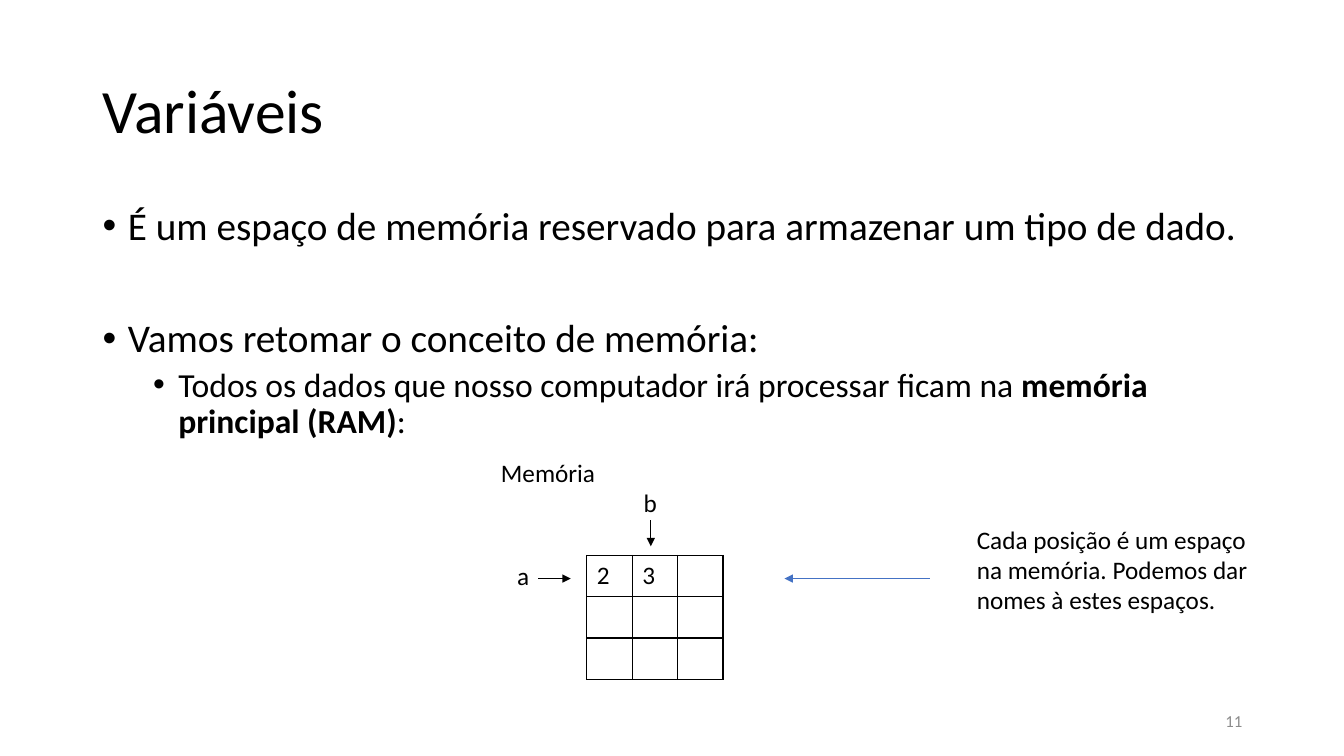
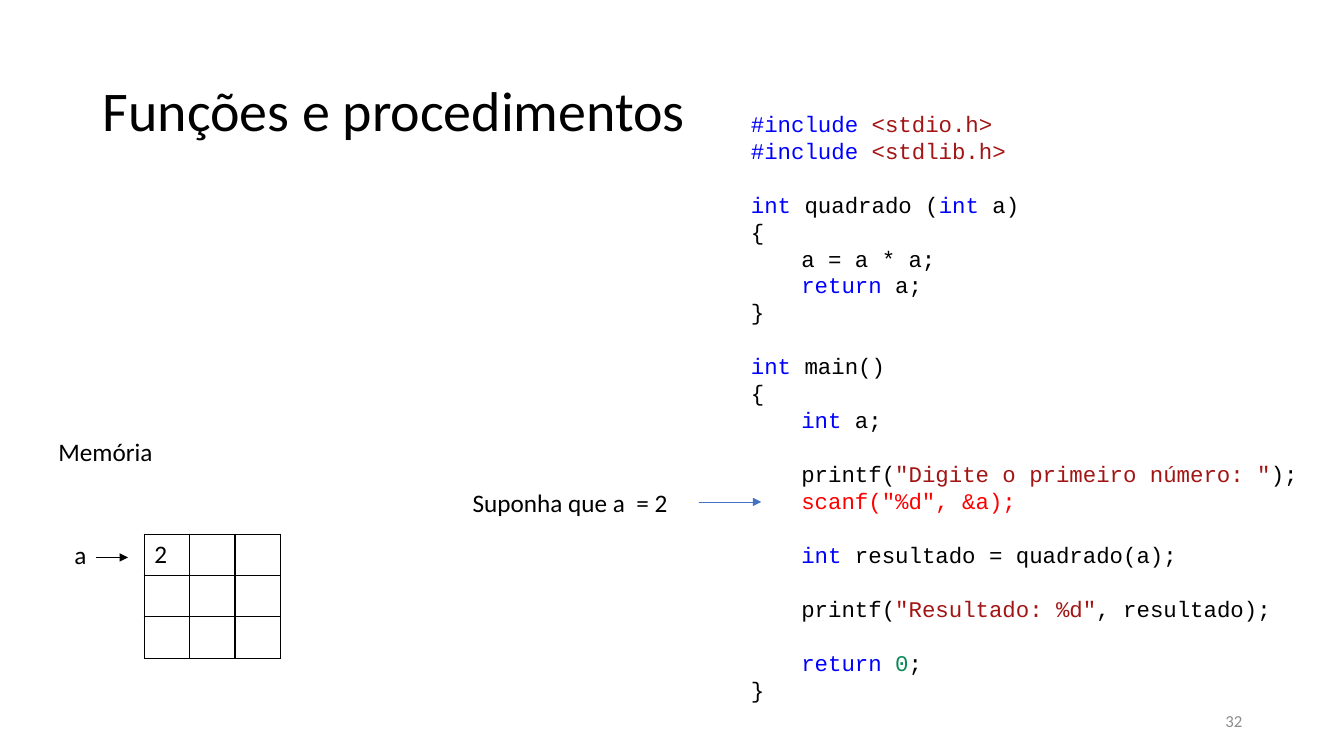
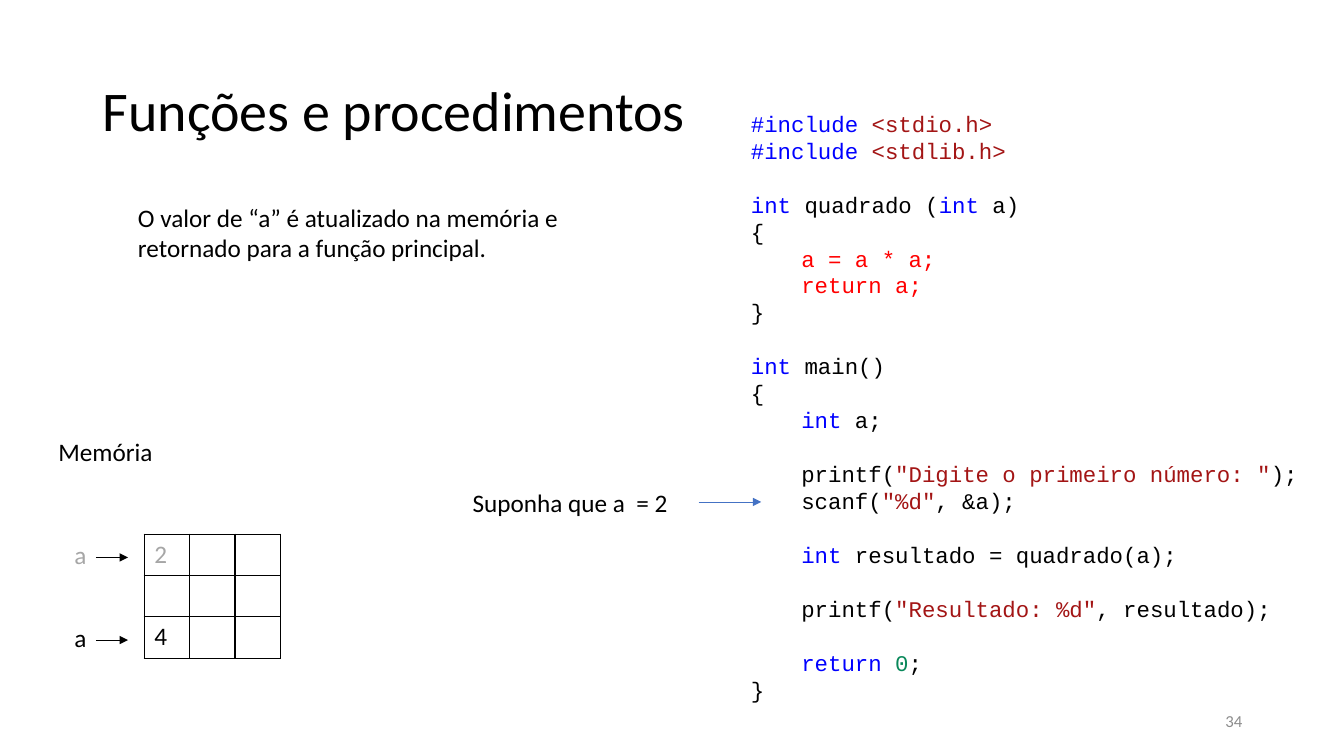
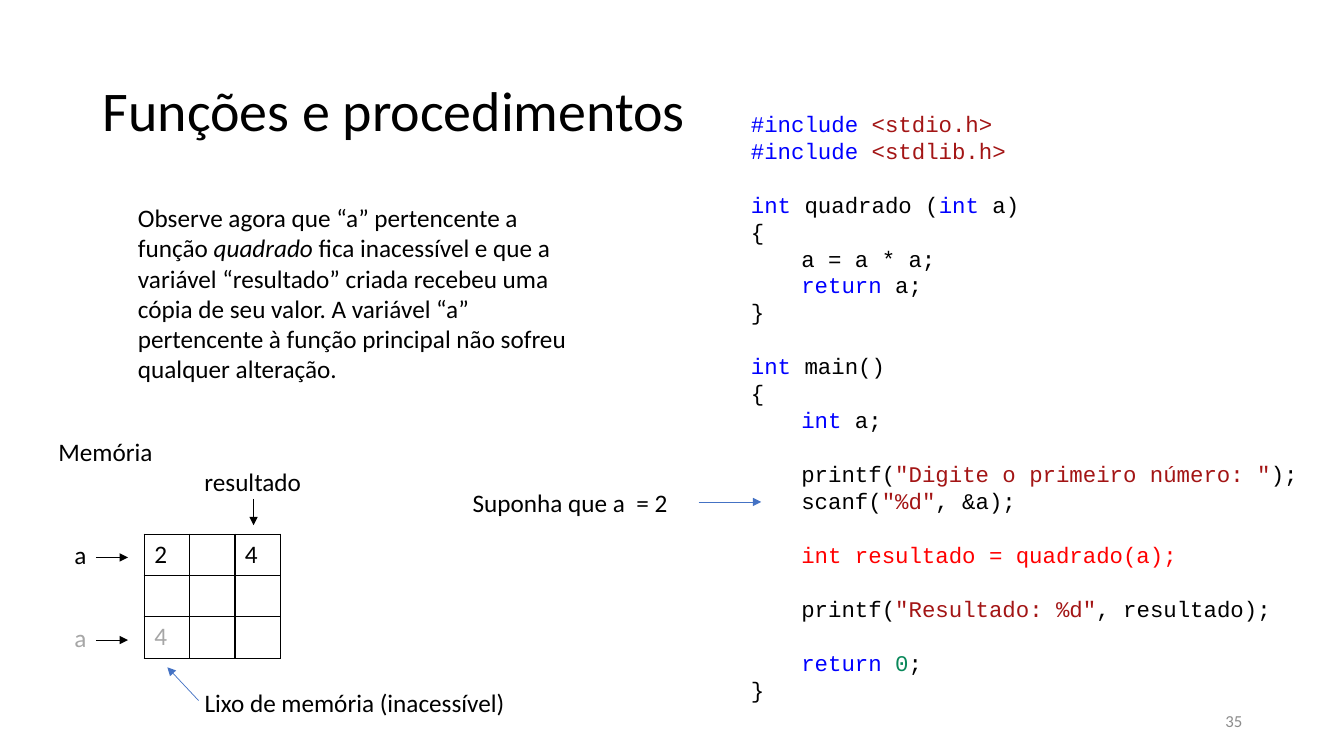
from lxml.etree import SubElement
from pptx import Presentation
from pptx.dml.color import RGBColor
from pptx.enum.shapes import MSO_CONNECTOR
from pptx.enum.text import MSO_ANCHOR, MSO_AUTO_SIZE, PP_ALIGN
from pptx.oxml.ns import qn
from pptx.util import Inches, Pt

COLOURS = {
    "text": "000000",
    "dim": "A6A6A6",
    "footer": "8C8C8C",
    "pointer": "4472C4",
    "keyword": "0000FF",
    "string": "A31515",
    "number": "09885A",
    "highlight": "FF0000",
}

# Each line: indent level, blank line above, coloured pieces.
CODE = [
    (0, False, [("#include ", "keyword"), ("<stdio.h>", "string")]),
    (0, False, [("#include ", "keyword"), ("<stdlib.h>", "string")]),
    (0, True, [("int", "keyword"), (" quadrado (", "text"), ("int", "keyword"), (" a)", "text")]),
    (0, False, [("{", "text")]),
    (1, False, [("a = a * a;", "text")]),
    (1, False, [("return", "keyword"), (" a;", "text")]),
    (0, False, [("}", "text")]),
    (0, True, [("int ", "keyword"), ("main()", "text")]),
    (0, False, [("{", "text")]),
    (1, False, [("int", "keyword"), (" a;", "text")]),
    (1, True, [("printf(", "text"), ('"Digite o primeiro número: "', "string"), (");", "text")]),
    (1, False, [("scanf(", "text"), ('"%d"', "string"), (", &a);", "text")]),
    (1, True, [("int", "keyword"), (" resultado = quadrado(a);", "text")]),
    (1, True, [("printf(", "text"), ('"Resultado: %d"', "string"), (", resultado);", "text")]),
    (1, True, [("return ", "keyword"), ("0", "number"), (";", "text")]),
    (0, False, [("}", "text")]),
]
CODE_LINE = Pt(19.25)
CELL_WIDTH, CELL_HEIGHT, CELLS = 0.45, 0.41, 3


def colour(name):
    return RGBColor.from_string(COLOURS[name])


class Deck:
    """Holds the shared style and the slide being built."""

    def __init__(self):
        self.presentation = Presentation()
        self.presentation.slide_width = Inches(13.33)
        self.presentation.slide_height = Inches(7.5)
        self.slide = None

    def new_slide(self, title, number, title_size=40):
        self.slide = self.presentation.slides.add_slide(self.presentation.slide_layouts[6])
        heading = self.text(title, 0.92, 0.4, 11.5, 1.45, size=title_size, anchor=MSO_ANCHOR.MIDDLE)
        heading.paragraphs[0].line_spacing = 0.9
        footer = self.text(str(number), 9.42, 6.95, 3, 0.4, size=12, tone="footer",
                           anchor=MSO_ANCHOR.MIDDLE)
        footer.paragraphs[0].alignment = PP_ALIGN.RIGHT

    def frame(self, left, top, width, height, wrap=True, anchor=MSO_ANCHOR.TOP):
        box = self.slide.shapes.add_textbox(Inches(left), Inches(top), Inches(width), Inches(height))
        box.text_frame.word_wrap = wrap
        box.text_frame.vertical_anchor = anchor
        return box.text_frame

    def style(self, paragraph, size, tone="text", face="Calibri"):
        paragraph.font.name = face
        paragraph.font.size = Pt(size)
        paragraph.font.color.rgb = colour(tone)

    def text(self, words, left, top, width, height, size=18, tone="text", **layout):
        frame = self.frame(left, top, width, height, **layout)
        frame.text = words
        self.style(frame.paragraphs[0], size, tone)
        return frame

    def label(self, words, left, top, width, tone="text"):
        """One unwrapped line whose box fits the words."""
        frame = self.text(words, left, top, width, 0.4, tone=tone, wrap=False)
        frame.auto_size = MSO_AUTO_SIZE.SHAPE_TO_FIT_TEXT

    def bullets(self, items):
        """Items are (level, size, space before, [(words, bold)])."""
        frame = self.frame(0.92, 2, 11.5, 4.76)
        for index, (level, size, space, pieces) in enumerate(items):
            paragraph = frame.add_paragraph() if index else frame.paragraphs[0]
            paragraph.level = level
            paragraph.line_spacing = 0.9
            paragraph.space_before = Pt(space)
            properties = paragraph._p.get_or_add_pPr()
            properties.set("marL", str(Inches(0.25 + 0.5 * level)))
            properties.set("indent", str(Inches(-0.25)))
            SubElement(properties, qn("a:buFont"), typeface="Arial")
            SubElement(properties, qn("a:buChar"), char="•")
            self.style(paragraph, size)
            for words, bold in pieces:
                run = paragraph.add_run()
                run.text = words
                if bold:
                    run.font.bold = True

    def arrow(self, start, end, tone="text", weight=0.75):
        line = self.slide.shapes.add_connector(
            MSO_CONNECTOR.STRAIGHT, *(Inches(value) for value in (*start, *end)))
        line.line.color.rgb = colour(tone)
        line.line.width = Pt(weight)
        SubElement(line.line._get_or_add_ln(), qn("a:tailEnd"), type="triangle")
        SubElement(line._element.spPr, qn("a:effectLst"))

    def pointer(self, start, end):
        self.arrow(start, end, "pointer", 0.5)

    def memory(self, left, top, values, row_names, column_name=None):
        """Memory grid; values map (row, column) and row_names map row to (words, tone).

        column_name is (column, words, label width).
        """
        self.label("Memória", left - 0.95, top - 1.02, 1.18)
        grid = self.slide.shapes.add_table(
            CELLS, CELLS, Inches(left), Inches(top),
            Inches(CELLS * CELL_WIDTH), Inches(CELLS * CELL_HEIGHT)).table
        grid.first_row = grid.horz_banding = False
        for index in range(CELLS):
            grid.columns[index].width = Inches(CELL_WIDTH)
            grid.rows[index].height = Inches(CELL_HEIGHT)
            for column in range(CELLS):
                words, tone = values.get((index, column), ("", "text"))
                self.fill_cell(grid.cell(index, column), words, tone)
        for row, (words, tone) in row_names.items():
            y = top + row * CELL_HEIGHT
            self.label(words, left - 0.79, y, 0.34, tone)
            self.arrow((left - 0.48, y + 0.23), (left - 0.16, y + 0.23))
        if column_name:
            column, words, width = column_name
            x = left + (column + 0.5) * CELL_WIDTH - 0.04
            self.label(words, x - width / 2, top - 0.72, width)
            self.arrow((x, top - 0.35), (x, top - 0.09))

    def fill_cell(self, cell, words, tone):
        cell.text = words
        self.style(cell.text_frame.paragraphs[0], 18, tone)
        properties = cell._tc.get_or_add_tcPr()
        for side in ("a:lnL", "a:lnR", "a:lnT", "a:lnB"):
            border = SubElement(properties, qn(side), w=str(Pt(1)))
            ink = SubElement(border, qn("a:solidFill"))
            SubElement(ink, qn("a:srgbClr"), val=COLOURS["text"])
        cell.fill.background()

    def code(self, highlighted):
        """The C program, with the lines at the given indexes in red."""
        frame = self.frame(7.35, 1.04, 5.73, 6.19)
        for index, (level, blank_above, pieces) in enumerate(CODE):
            paragraph = frame.add_paragraph() if index else frame.paragraphs[0]
            paragraph.level = level
            paragraph.line_spacing = CODE_LINE
            if blank_above:
                paragraph.space_before = CODE_LINE
            paragraph._p.get_or_add_pPr().set("marL", str(Inches(0.5 * level)))
            self.style(paragraph, 16, face="Courier New")
            if index in highlighted:
                pieces = [("".join(words for words, _ in pieces), "highlight")]
            for words, tone in pieces:
                run = paragraph.add_run()
                run.text = words
                run.font.color.rgb = colour(tone)

    def function_slide(self, number, highlighted, values, row_names, column_name=None):
        self.new_slide("Funções e procedimentos", number)
        self.memory(1.43, 5.3, values, row_names, column_name)
        self.label("Suponha que a  = 2", 4.59, 4.79, 2.16)
        self.pointer((6.93, 4.98), (7.55, 4.98))
        self.code(highlighted)

    def explanation(self, pieces, height):
        """Pieces are (words, italic)."""
        frame = self.frame(1.27, 1.96, 4.61, height)
        paragraph = frame.paragraphs[0]
        self.style(paragraph, 18)
        for words, italic in pieces:
            run = paragraph.add_run()
            run.text = words
            if italic:
                run.font.italic = True


def main():
    deck = Deck()

    deck.new_slide("Variáveis", 11, title_size=44)
    deck.bullets([
        (0, 28, 0, [("É um espaço de memória reservado para armazenar um tipo de dado.", False)]),
        (0, 28, 50, [("Vamos retomar o conceito de memória:", False)]),
        (1, 24, 5, [("Todos os dados que nosso computador irá processar ficam na ", False),
                    ("memória principal (RAM)", True), (":", False)]),
    ])
    deck.memory(5.82, 5.51, {(0, 0): ("2", "text"), (0, 1): ("3", "text")},
                {0: ("a", "text")}, (1, "b", 0.34))
    deck.pointer((9.22, 5.74), (7.78, 5.74))
    deck.text("Cada posição é um espaço na memória. Podemos dar nomes à estes espaços.",
              9.59, 5.15, 3.04, 1.01)

    deck.function_slide(32, {11}, {(0, 0): ("2", "text")}, {0: ("a", "text")})

    deck.function_slide(34, {4, 5}, {(0, 0): ("2", "dim"), (2, 0): ("4", "text")},
                        {0: ("a", "dim"), 2: ("a", "text")})
    deck.explanation([("O valor de “a” é atualizado na memória e retornado para a função "
                       "principal.", False)], 0.71)

    deck.function_slide(35, {12},
                        {(0, 0): ("2", "text"), (0, 2): ("4", "text"), (2, 0): ("4", "dim")},
                        {0: ("a", "text"), 2: ("a", "dim")}, (2, "resultado", 1.17))
    deck.explanation([
        ("Observe agora que “a” pertencente a função ", False),
        ("quadrado", True),
        (" fica inacessível e que a variável “resultado” criada recebeu uma cópia de seu valor. "
         "A variável “a” pertencente à função principal não sofreu qualquer alteração.", False),
    ], 1.92)
    deck.pointer((1.97, 6.95), (1.66, 6.62))
    deck.label("Lixo de memória (inacessível)", 1.93, 6.77, 3.21)

    deck.presentation.save("out.pptx")


if __name__ == "__main__":
    main()
